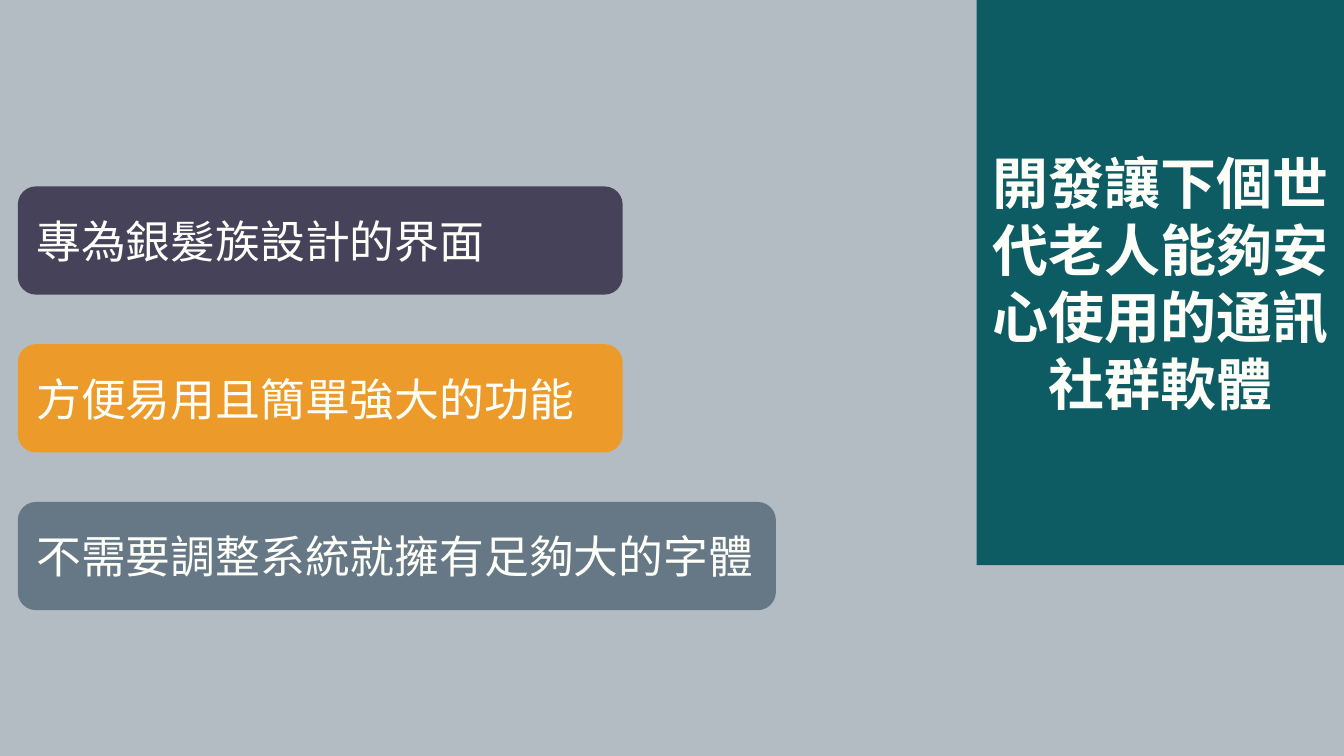
from lxml.etree import SubElement
from pptx import Presentation
from pptx.dml.color import RGBColor
from pptx.enum.shapes import MSO_SHAPE as Shape
from pptx.enum.text import MSO_ANCHOR as Anchor, PP_ALIGN as Align
from pptx.oxml.ns import qn
from pptx.util import Inches, Pt

COLORS = {
    "slate": "667885",
    "plum": "45425A",
    "orange": "EC9A29",
    "teal": "0D5C63",
    "ivory": "FFFFFA",
    "edge": "595959",
}
COLUMNS, ROWS = 100, 56.25  # grid of 0.1 inch cells on a 16:9 slide
FEATURES = [
    ("專為銀髮族設計的界面", "plum", 45),
    ("方便易用且簡單強大的功能", "orange", 45),
    ("不需要調整系統就擁有足夠大的字體", "slate", 56.4),
]
FIRST_ROW, ROW_STEP, CARD_ROWS = 13.87, 11.74, 8.05


def write(shape, text, size=24, bold=False, align=Align.LEFT, color="ivory"):
    frame = shape.text_frame
    frame.word_wrap = True
    frame.vertical_anchor = Anchor.MIDDLE
    frame.margin_left = frame.margin_right = Inches(0.1)
    frame.margin_top = frame.margin_bottom = Inches(0.1)
    paragraph = frame.paragraphs[0]
    paragraph.alignment = align
    run = paragraph.add_run()
    run.text = text
    run.font.name = "Arial"
    run.font.size = Pt(size)
    run.font.bold = bold
    run.font.color.rgb = RGBColor.from_string(COLORS[color])


class SlideBuilder:
    def __init__(self, deck):
        self.slide = deck.slides.add_slide(deck.slide_layouts[6])
        self.column = deck.slide_width / COLUMNS
        self.row = deck.slide_height / ROWS

    def block(self, kind, color, left, top, width, height):
        """Add a plain filled shape, measured in grid columns and rows."""
        shape = self.slide.shapes.add_shape(
            kind, round(left * self.column), round(top * self.row),
            round(width * self.column), round(height * self.row))
        shape.shadow.inherit = False
        shape.fill.solid()
        shape.fill.fore_color.rgb = RGBColor.from_string(COLORS[color])
        shape.line.fill.background()
        return shape

    def wash(self, color, opacity):
        """Tint the whole slide, running slightly past its edges."""
        tint = self.block(Shape.RECTANGLE, color, -1.9, -1.3, 104.4, 59.2)
        tint.line.color.rgb = RGBColor.from_string(COLORS["edge"])
        tint.line.width = Pt(0.75)
        rgb = tint.fill._xPr.find(qn("a:solidFill")).find(qn("a:srgbClr"))
        SubElement(rgb, qn("a:alpha"), val=str(opacity * 1000))

    def card(self, text, color, top, width):
        card = self.block(Shape.ROUNDED_RECTANGLE, color, 1.33, top, width, CARD_ROWS)
        card.adjustments[0] = 1 / 6
        write(card, text)

    def title_panel(self, text):
        panel = self.block(Shape.RECTANGLE, "teal", 72.67, 0, 27.33, 42.05)
        write(panel, text, size=30, bold=True, align=Align.CENTER)


def main():
    deck = Presentation()
    deck.slide_width = Inches(10)
    deck.slide_height = deck.slide_width * 9 // 16
    builder = SlideBuilder(deck)
    builder.wash("slate", opacity=49)
    for index, (text, color, width) in enumerate(FEATURES):
        builder.card(text, color, FIRST_ROW + index * ROW_STEP, width)
    builder.title_panel("開發讓下個世代老人能夠安心使用的通訊社群軟體")
    deck.save("out.pptx")


if __name__ == "__main__":
    main()
